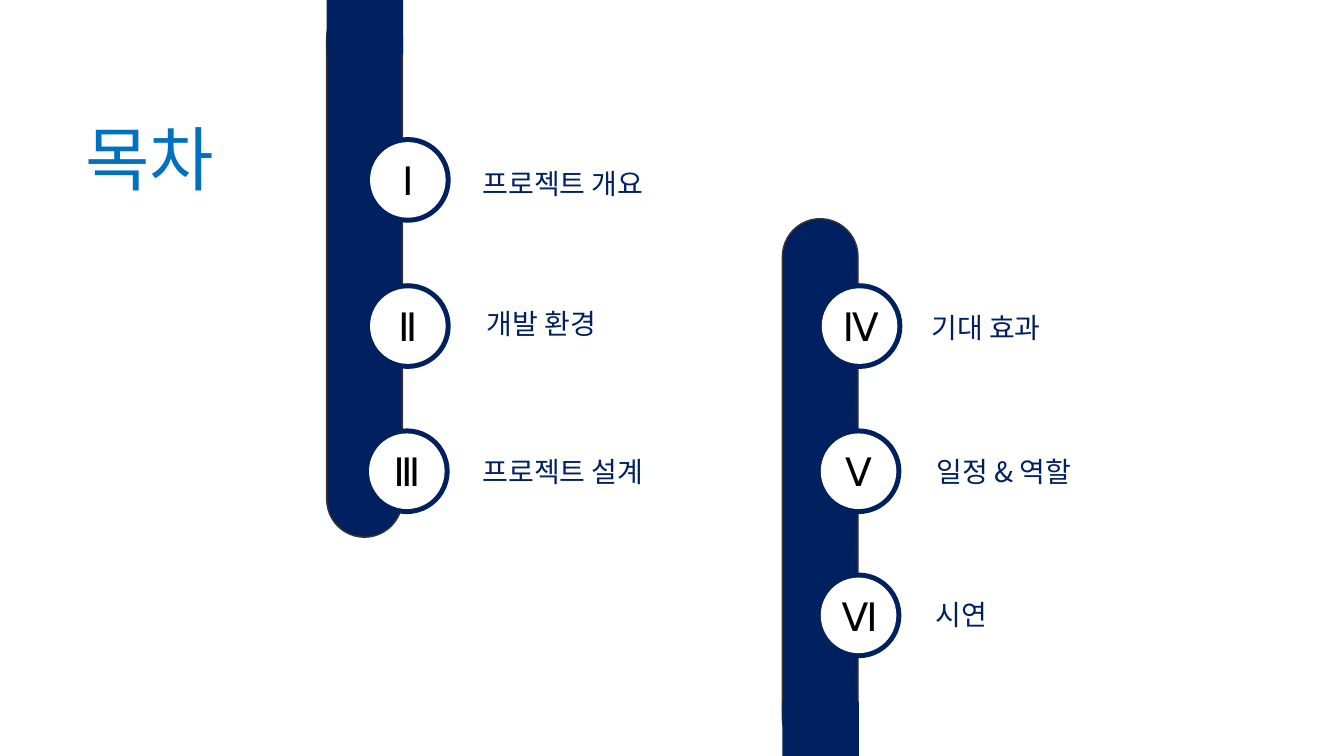
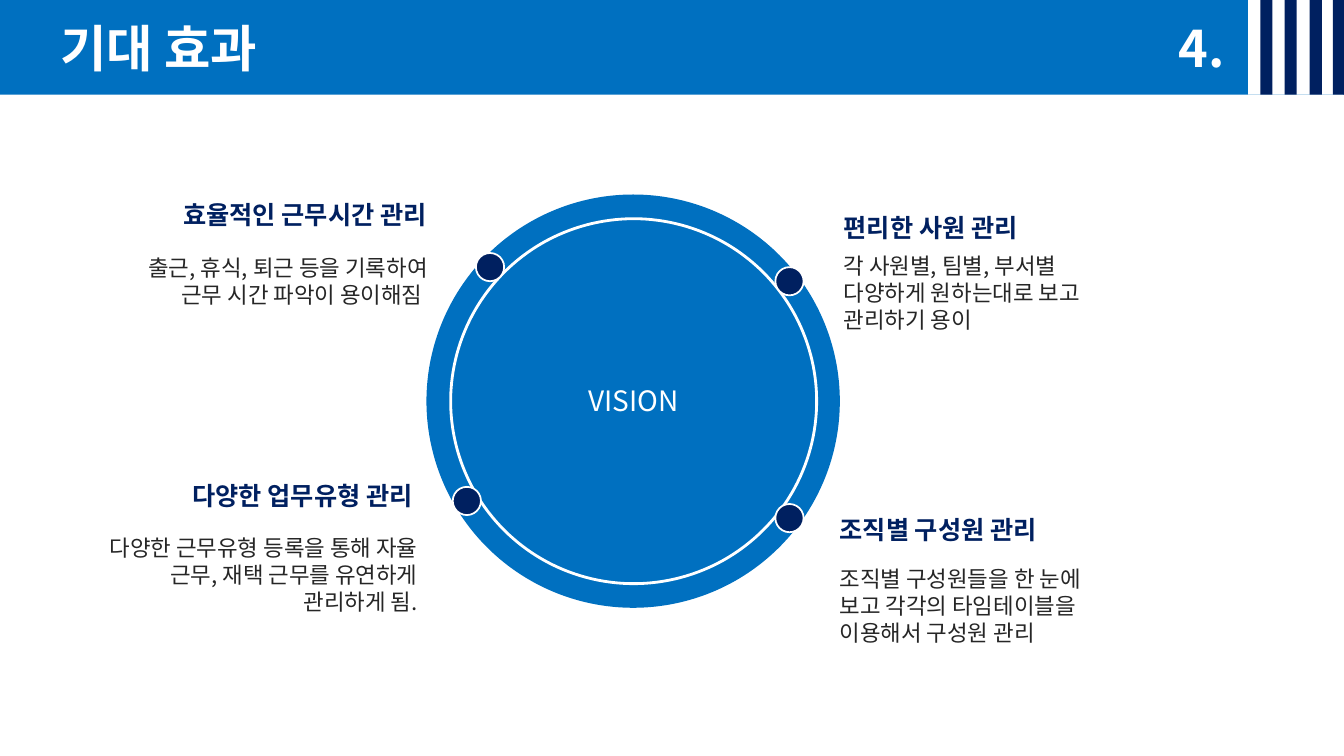
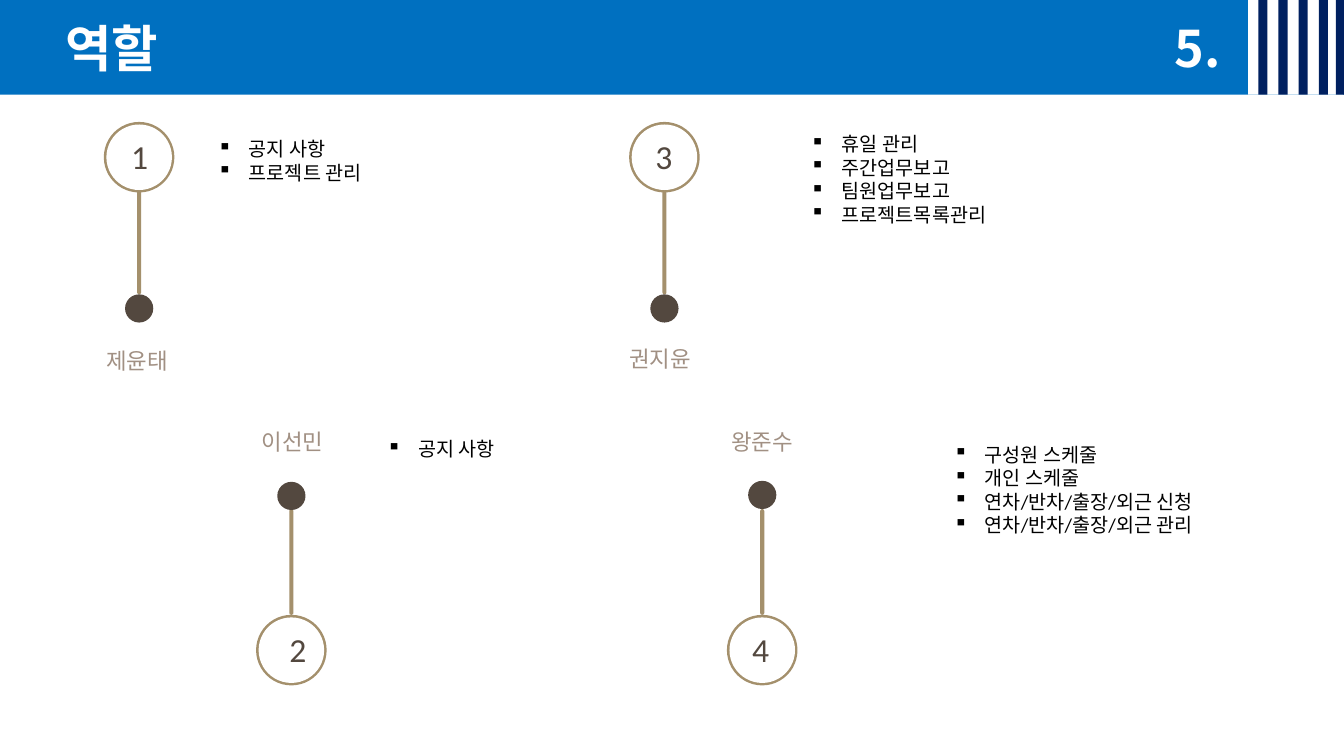
"""Build a three-slide project deck: contents, expected effects and roles."""
from dataclasses import dataclass
from typing import Optional

import lxml.etree
import pptx
import pptx.dml.color
import pptx.enum.shapes
import pptx.enum.text
import pptx.oxml.ns
import pptx.shapes.autoshape
import pptx.slide
import pptx.text.text
import pptx.util

Inches = pptx.util.Inches
Pt = pptx.util.Pt
RGBColor = pptx.dml.color.RGBColor
Shape = pptx.shapes.autoshape.Shape
Slide = pptx.slide.Slide
Paragraph = pptx.text.text._Paragraph
Preset = pptx.enum.shapes.MSO_SHAPE
Align = pptx.enum.text.PP_ALIGN

NAVY = RGBColor(0x00, 0x20, 0x60)
BLUE = RGBColor(0x00, 0x70, 0xC0)
WHITE = RGBColor(0xFF, 0xFF, 0xFF)
BLACK = RGBColor(0x00, 0x00, 0x00)
CHARCOAL = RGBColor(0x26, 0x26, 0x26)
BAR_EDGE = RGBColor(0x3D, 0x35, 0x2F)
TAN = RGBColor(0xA4, 0x90, 0x6C)
BROWN = RGBColor(0x53, 0x48, 0x3F)
TAUPE = RGBColor(0xA1, 0x90, 0x83)

KOREAN = "Noto Sans CJK KR"
SLIDE_WIDTH = 13.33
SLIDE_HEIGHT = 7.5
HEADER_HEIGHT = 0.94


@dataclass(frozen=True)
class Box:
    """Position and size in inches."""

    left: float
    top: float
    width: float
    height: float


@dataclass(frozen=True)
class Style:
    """Look of a paragraph."""

    size: float
    color: RGBColor
    font: str = KOREAN
    bold: bool = False
    align: Align = Align.CENTER
    spacing: Optional[float] = None


@dataclass(frozen=True)
class Chapter:
    """Numbered entry of the contents slide."""

    numeral: str
    title: str
    left: float
    top: float
    label: Box


@dataclass(frozen=True)
class Effect:
    """Heading and description beside the vision circle."""

    heading: str
    detail: str
    heading_box: Box
    detail_box: Box
    align: Align


@dataclass(frozen=True)
class Member:
    """Team member with a numbered pin and a task list."""

    number: str
    name: str
    ring_left: float
    ring_top: float
    number_left: float
    rod_top: float
    dot_top: float
    name_box: Box
    task_box: Box
    tasks: tuple[str, ...]


COVER_TITLE = Style(50, BLUE)
NUMERAL = Style(28, BLACK, "Calibri")
CHAPTER_TITLE = Style(20, NAVY)
HEADER_TITLE = Style(36, WHITE, bold=True)
VISION = Style(20, WHITE)
MEMBER_NAME = Style(16, TAUPE, "Lato", spacing=22.2)
MEMBER_NUMBER = Style(24, BROWN, "Calibri")
TASK = Style(14, BLACK, "Calibri", align=Align.LEFT)

CHAPTERS = (
    Chapter("Ⅰ", "프로젝트 개요", 3.62, 1.36, Box(4.63, 1.6, 1.91, 0.44)),
    Chapter("Ⅱ", "개발 환경", 3.62, 2.81, Box(4.63, 2.99, 1.48, 0.44)),
    Chapter("Ⅲ", "프로젝트 설계", 3.61, 4.25, Box(4.63, 4.46, 1.91, 0.44)),
    Chapter("Ⅳ", "기대 효과", 8.1, 2.81, Box(9, 3.03, 1.56, 0.44)),
    Chapter("Ⅴ", "일정 & 역할", 8.09, 4.25, Box(9.03, 4.46, 1.85, 0.44)),
    Chapter("Ⅵ", "시연", 8.09, 5.68, Box(9.11, 5.88, 0.85, 0.44)),
)

EFFECTS = (
    Effect("효율적인 근무시간 관리",
           "출근, 휴식, 퇴근 등을 기록하여 근무 시간 파악이 용이해짐 ",
           Box(1.1, 1.93, 3.23, 0.4), Box(0.97, 2.47, 3.37, 0.64), Align.RIGHT),
    Effect("편리한 사원 관리",
           "각 사원별, 팀별, 부서별 다양하게 원하는대로 보고 관리하기 용이",
           Box(8.27, 2.06, 3, 0.4), Box(8.27, 2.45, 2.86, 0.91), Align.LEFT),
    Effect("다양한 업무유형 관리",
           "다양한 근무유형 등록을 통해 자율 근무, 재택 근무를 유연하게 관리하게 됨.",
           Box(0.96, 4.72, 3.23, 0.4), Box(0.87, 5.25, 3.37, 0.91), Align.RIGHT),
    Effect("조직별\u00a0구성원 관리",
           "조직별 구성원들을 한 눈에 보고 각각의 타임테이블을 이용해서 구성원 관리",
           Box(8.23, 5.05, 2.9, 0.4), Box(8.23, 5.56, 2.86, 0.91), Align.LEFT),
)
EFFECT_DOTS = ((4.72, 2.51), (7.69, 2.65), (4.49, 4.83), (7.69, 5))

MEMBERS = (
    Member("1", "제윤태", 1.03, 1.21, 1.2, 1.87, 2.92,
           Box(0.8, 3.35, 1.12, 0.38), Box(2.06, 1.31, 3.53, 1.04),
           ("공지 사항", "프로젝트 관리")),
    Member("2", "이선민", 2.54, 6.1, 2.77, 5.05, 4.78,
           Box(2.46, 4.16, 0.88, 0.38), Box(3.74, 4.29, 3.53, 0.34),
           ("공지 사항",)),
    Member("3", "권지윤 ", 6.24, 1.21, 6.4, 1.87, 2.92,
           Box(6.07, 3.33, 1, 0.38), Box(7.94, 1.26, 3.53, 1.28),
           ("휴일 관리", "주간업무보고", "팀원업무보고", "프로젝트목록관리")),
    Member("4", "왕준수", 7.21, 6.1, 7.36, 5.05, 4.77,
           Box(7.06, 4.16, 1, 0.38), Box(9.36, 4.34, 3.53, 1.28),
           ("구성원 스케줄", "개인 스케줄",
            "연차/반차/출장/외근 신청", "연차/반차/출장/외근 관리")),
)


def lengths(box: Box) -> tuple[pptx.util.Length, ...]:
    """Return the box as left, top, width and height lengths."""
    return Inches(box.left), Inches(box.top), Inches(box.width), Inches(box.height)


def style_paragraph(para: Paragraph, text: str, style: Style) -> None:
    """Write text into a paragraph and apply its style."""
    para.text = text
    para.alignment = style.align
    if style.spacing:
        para.line_spacing = Pt(style.spacing)
    font = para.font
    font.size = Pt(style.size)
    font.bold = style.bold
    font.color.rgb = style.color
    font.name = style.font
    qn = pptx.oxml.ns.qn
    defaults = para._p.pPr.find(qn("a:defRPr"))
    lxml.etree.SubElement(defaults, qn("a:ea"), typeface=KOREAN)


def add_bullet(para: Paragraph) -> None:
    """Give a paragraph a small square bullet with a hanging indent."""
    properties = para._p.get_or_add_pPr()
    indent = Inches(0.31)
    properties.set("marL", str(indent))
    properties.set("indent", str(-indent))
    bullet = lxml.etree.Element(pptx.oxml.ns.qn("a:buChar"), char="▪")
    properties.find(pptx.oxml.ns.qn("a:defRPr")).addprevious(bullet)


def add_text(page: Slide, box: Box, lines: tuple[str, ...], style: Style,
             wrap: bool = True, bullets: bool = False) -> None:
    """Add a text box with one paragraph per line."""
    frame = page.shapes.add_textbox(*lengths(box)).text_frame
    frame.word_wrap = wrap
    frame.auto_size = pptx.enum.text.MSO_AUTO_SIZE.SHAPE_TO_FIT_TEXT
    for index, line in enumerate(lines):
        para = frame.add_paragraph() if index else frame.paragraphs[0]
        style_paragraph(para, line, style)
        if bullets:
            add_bullet(para)


def add_figure(page: Slide, preset: Preset, box: Box, fill: RGBColor,
               line: Optional[RGBColor] = None, weight: float = 1) -> Shape:
    """Add a flat preset shape."""
    figure = page.shapes.add_shape(preset, *lengths(box))
    figure.shadow.inherit = False
    figure.fill.solid()
    figure.fill.fore_color.rgb = fill
    if line is None:
        figure.line.fill.background()
    else:
        figure.line.color.rgb = line
        figure.line.width = Pt(weight)
    if preset == Preset.ROUNDED_RECTANGLE:
        figure.adjustments[0] = 0.5
    return figure


def add_ring(page: Slide, left: float, top: float, size: float, inner: float,
             color: RGBColor) -> Shape:
    """Add a coloured disc with a white centre and return the centre."""
    inset = (size - inner) / 2
    add_figure(page, Preset.OVAL, Box(left, top, size, size), color)
    return add_figure(page, Preset.OVAL,
                      Box(left + inset, top + inset, inner, inner), WHITE)


def add_header(page: Slide, title: str, title_box: Box, number: str,
               number_left: float, stripes: tuple[float, ...],
               stripe_width: float) -> None:
    """Add the blue band with title, section number and corner stripes."""
    add_figure(page, Preset.RECTANGLE, Box(0, 0, SLIDE_WIDTH, HEADER_HEIGHT), BLUE)
    add_text(page, title_box, (title,), HEADER_TITLE)
    add_text(page, Box(number_left, 0.12, 0.8, 0.71), (number,), HEADER_TITLE)
    corner = Box(12.38, 0, HEADER_HEIGHT, HEADER_HEIGHT)
    add_figure(page, Preset.RECTANGLE, corner, WHITE)
    for left in stripes:
        stripe = Box(left, 0, stripe_width, HEADER_HEIGHT)
        add_figure(page, Preset.RECTANGLE, stripe, NAVY)


def add_bar(page: Slide, left: float, top: float, cap_top: float) -> None:
    """Add a vertical bar whose end at the slide edge is square."""
    add_figure(page, Preset.ROUNDED_RECTANGLE, Box(left, top, 0.75, 5.33),
               NAVY, BAR_EDGE)
    add_figure(page, Preset.RECTANGLE, Box(left, cap_top, 0.76, 0.54), NAVY)


def add_chapter(page: Slide, chapter: Chapter) -> None:
    """Add a numeral badge and its title."""
    badge = add_ring(page, chapter.left, chapter.top, 0.85, 0.75, NAVY)
    badge.text_frame.vertical_anchor = pptx.enum.text.MSO_ANCHOR.MIDDLE
    style_paragraph(badge.text_frame.paragraphs[0], chapter.numeral, NUMERAL)
    add_text(page, chapter.label, (chapter.title,), CHAPTER_TITLE)


def add_effect(page: Slide, effect: Effect) -> None:
    """Add an effect's heading and description."""
    heading = Style(18, NAVY, bold=True, align=effect.align)
    detail = Style(16, CHARCOAL, align=effect.align)
    add_text(page, effect.heading_box, (effect.heading,), heading)
    add_text(page, effect.detail_box, (effect.detail,), detail)


def add_member(page: Slide, member: Member) -> None:
    """Add a member's pin, name and tasks."""
    left = member.ring_left
    add_figure(page, Preset.ROUNDED_RECTANGLE,
               Box(left + 0.33, member.rod_top, 0.04, 1.05), TAN)
    add_figure(page, Preset.OVAL, Box(left + 0.21, member.dot_top, 0.28, 0.28), BROWN)
    add_ring(page, left, member.ring_top, 0.7, 0.65, TAN)
    add_text(page, Box(member.number_left, member.ring_top + 0.09, 0.37, 0.5),
             (member.number,), MEMBER_NUMBER, wrap=False)
    add_text(page, member.name_box, (member.name,), MEMBER_NAME)
    add_text(page, member.task_box, member.tasks, TASK, bullets=True)


def build_contents(page: Slide) -> None:
    """Draw the contents slide."""
    add_text(page, Box(0.66, 1.1, 1.65, 0.94), ("목차",), COVER_TITLE)
    add_bar(page, 3.24, 0, 0)
    add_bar(page, 7.76, 2.17, 6.96)
    for chapter in CHAPTERS:
        add_chapter(page, chapter)


def build_effects(page: Slide) -> None:
    """Draw the expected effects slide."""
    add_header(page, "기대 효과", Box(0, 0.12, 3.15, 0.71), "4.", 11.52,
               (12.5, 12.74, 12.99, 13.22), 0.12)
    add_figure(page, Preset.OVAL, Box(4.23, 1.93, 4.1, 4.1), BLUE)
    add_figure(page, Preset.OVAL, Box(4.47, 2.17, 3.63, 3.62), BLUE, WHITE, 2)
    add_text(page, Box(5.61, 3.76, 1.35, 0.44), ("VISION",), VISION)
    for left, top in EFFECT_DOTS:
        add_figure(page, Preset.OVAL, Box(left, top, 0.28, 0.28), NAVY, WHITE, 1.25)
    for effect in EFFECTS:
        add_effect(page, effect)


def build_roles(page: Slide) -> None:
    """Draw the roles slide."""
    add_header(page, "역할", Box(0.4, 0.12, 1.41, 0.71), "5.", 11.48,
               (12.48, 12.68, 12.88, 13.08, 13.25), 0.09)
    for member in MEMBERS:
        add_member(page, member)


def main() -> None:
    """Build and save the deck."""
    deck = pptx.Presentation()
    deck.slide_width = Inches(SLIDE_WIDTH)
    deck.slide_height = Inches(SLIDE_HEIGHT)
    for build in (build_contents, build_effects, build_roles):
        build(deck.slides.add_slide(deck.slide_layouts[6]))
    deck.save("out.pptx")


main()
